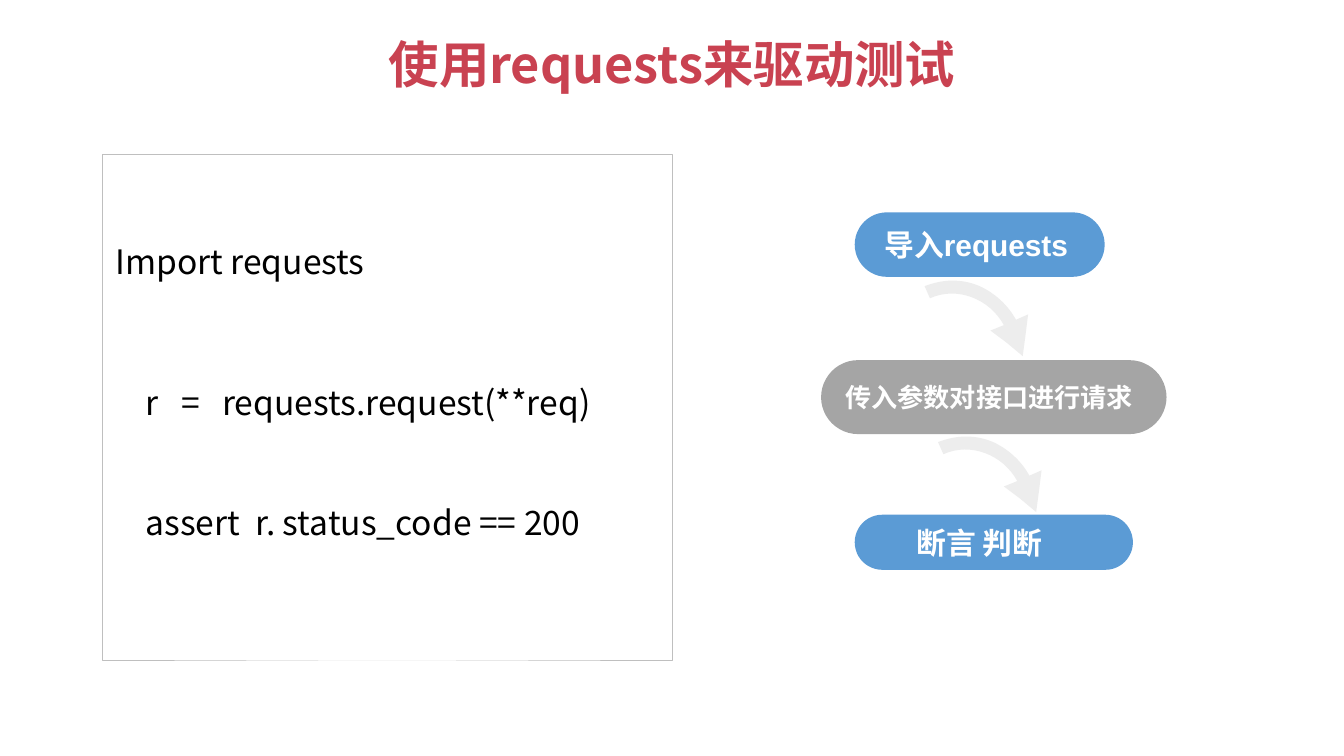
from pptx import Presentation
from pptx import util as u
from pptx.dml.color import RGBColor
from pptx.enum import shapes, text

THEME = {
    "title": dict(name="Noto Sans CJK SC", size=u.Pt(27), bold=True, color="C94251"),
    "code": dict(name="Noto Sans CJK SC", size=u.Pt(18), bold=False, color="000000"),
    "step": dict(name="Arial", size=u.Pt(16), bold=True, color="FFFFFF"),
    "long_step": dict(name="Arial", size=u.Pt(14), bold=True, color="FFFFFF"),
    "blue": "5B9BD5",
    "gray": "A5A5A5",
    "arrow": "EDEDED",
    "border": "BFBFBF",
}


def style_font(font, formats):
    for key, value in formats.items():
        if key == "color":
            font.color.rgb = RGBColor.from_string(value)
        else:
            setattr(font, key, value)


def bezier(p0, p1, p2, p3, steps=16):
    """Points along a cubic curve, without its start."""
    points = []
    for i in range(1, steps + 1):
        t = i / steps
        weights = ((1 - t) ** 3, 3 * t * (1 - t) ** 2, 3 * t * t * (1 - t), t ** 3)
        points.append(tuple(sum(w * p[axis] for w, p in zip(weights, (p0, p1, p2, p3)))
                            for axis in (0, 1)))
    return points


# 16:9 slide
prs = Presentation()
prs.slide_width, prs.slide_height = u.Inches(10), u.Inches(10 * 9 / 16)
s = prs.slides.add_slide(prs.slide_layouts[5])

# Title
sp = s.shapes.title
sp.left, sp.top, sp.width, sp.height = map(u.Inches, (0.5, 0.23, 9, 0.94))
tf = sp.text_frame
tf.vertical_anchor = text.MSO_ANCHOR.TOP
tf.margin_top = u.Inches(0.07)
p = tf.paragraphs[0]
p.alignment = text.PP_ALIGN.CENTER
p.line_spacing = 0.9
r = p.add_run()
r.text = "使用requests来驱动测试"
style_font(r.font, THEME["title"])

# Code panel
sp = s.shapes.add_shape(shapes.MSO_SHAPE.RECTANGLE, *map(u.Inches, (0.76, 1.15, 4.24, 3.76)))
sp.shadow.inherit = False
sp.fill.background()
sp.line.color.rgb = RGBColor.from_string(THEME["border"])
sp.line.width = u.Pt(0.25)
tf = sp.text_frame
tf.word_wrap = True
tf.vertical_anchor = text.MSO_ANCHOR.TOP
tf.margin_top = u.Inches(0.64)
code_lines = [
    ("Import requests", 0),
    ("    r   =   requests.request(**req)", 54),
    ("    assert  r. status_code == 200", 43),
]
for i, (line, gap) in enumerate(code_lines):
    p = tf.add_paragraph() if i else tf.paragraphs[0]
    p.alignment = text.PP_ALIGN.LEFT
    if gap:
        p.space_before = u.Pt(gap)
    r = p.add_run()
    r.text = line
    style_font(r.font, THEME["code"])

# Step pills: label, box, fill, font, left margin
steps = [
    ("导入requests", (6.36, 1.58, 1.86, 0.48), "blue", "step", 0.15),
    ("传入参数对接口进行请求", (6.11, 2.68, 2.57, 0.55), "gray", "long_step", 0.1),
    ("断言 判断", (6.36, 3.83, 2.07, 0.41), "blue", "step", 0.4),
]
for label, box, fill, font, margin in steps:
    sp = s.shapes.add_shape(shapes.MSO_SHAPE.ROUNDED_RECTANGLE, *map(u.Inches, box))
    sp.adjustments[0] = 0.5
    sp.shadow.inherit = False
    sp.fill.solid()
    sp.fill.fore_color.rgb = RGBColor.from_string(THEME[fill])
    sp.line.fill.background()
    tf = sp.text_frame
    tf.word_wrap = True
    tf.vertical_anchor = text.MSO_ANCHOR.MIDDLE
    tf.margin_left = u.Inches(margin)
    p = tf.paragraphs[0]
    p.alignment = text.PP_ALIGN.LEFT
    r = p.add_run()
    r.text = label
    style_font(r.font, THEME[font])

# Curved arrows between the steps
outline = [
    (7.63, 2.5), (7.65, 2.34), (7.56, 2.38),
    *bezier((7.56, 2.38), (7.5, 2.27), (7.4, 2.18), (7.29, 2.13)),
    *bezier((7.29, 2.13), (7.15, 2.07), (7.01, 2.08), (6.88, 2.13)),
    (6.92, 2.22),
    *bezier((6.92, 2.22), (7.12, 2.13), (7.36, 2.22), (7.47, 2.42)),
    (7.37, 2.46), (7.49, 2.55), (7.61, 2.65),
]
for dx, dy in [(0, 0), (0.1, 1.16)]:
    points = [(u.Inches(x + dx), u.Inches(y + dy)) for x, y in outline]
    builder = s.shapes.build_freeform(*points[0])
    builder.add_line_segments(points[1:], close=True)
    sp = builder.convert_to_shape()
    sp.shadow.inherit = False
    sp.fill.solid()
    sp.fill.fore_color.rgb = RGBColor.from_string(THEME["arrow"])
    sp.line.fill.background()

prs.save("out.pptx")
